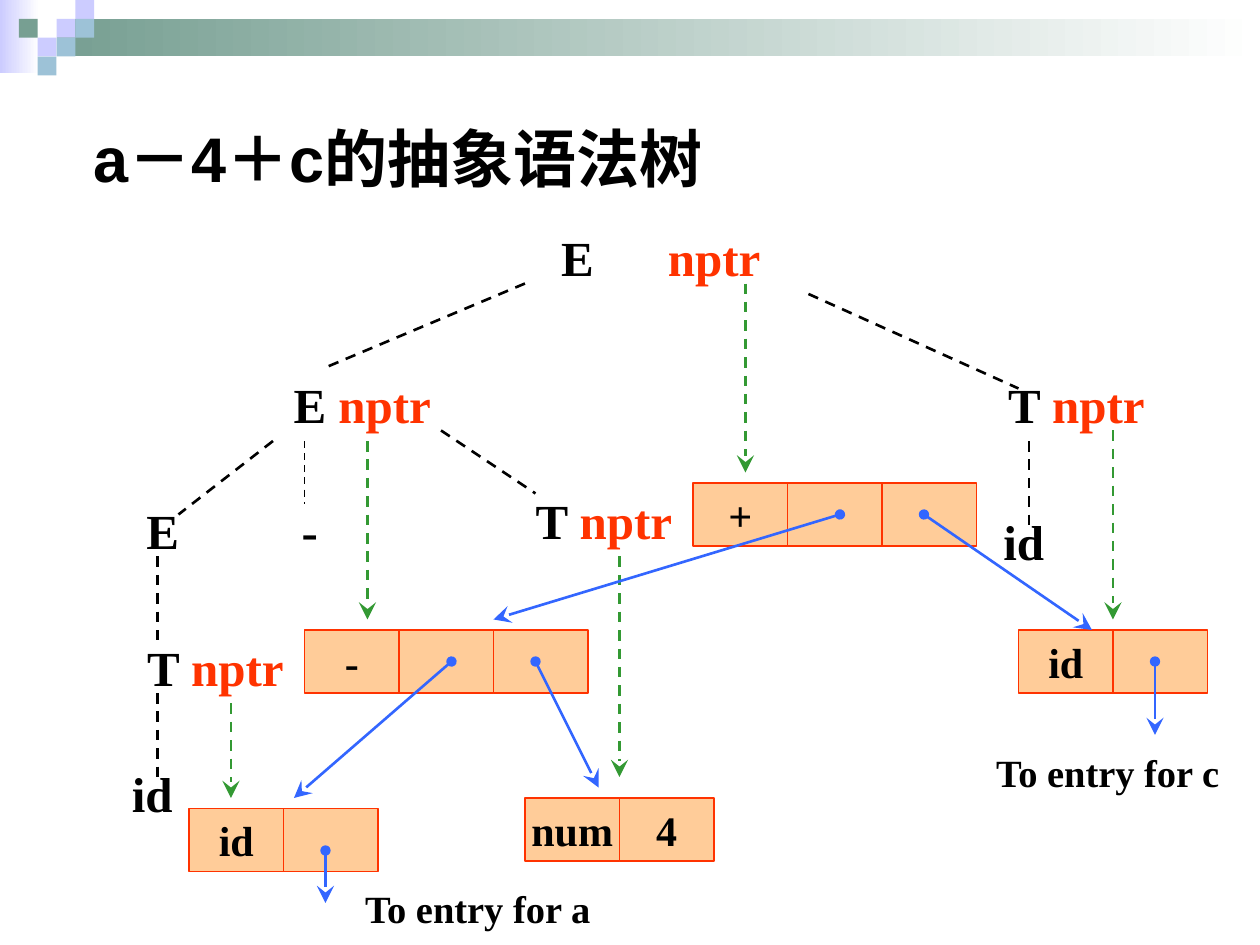
from lxml.etree import SubElement
from pptx import Presentation
from pptx.dml.color import RGBColor
from pptx.enum.dml import MSO_LINE_DASH_STYLE as Dash
from pptx.enum.shapes import MSO_CONNECTOR as Connector, MSO_SHAPE as Shape
from pptx.enum.text import MSO_ANCHOR as Anchor, PP_ALIGN as Align
from pptx.oxml.ns import qn
from pptx.util import Cm, Pt

GRID = 2.54 / 12
TILE = 0.38
BLACK, RED, GREEN, BLUE = "000000", "FF3300", "339933", "3366FF"
PEACH, LILAC, SKY, SAGE, WHITE = "FFCC99", "CCCCFF", "9DC2D7", "779F92", "FFFFFF"

TILES = [(3, 1, LILAC), (4, 0, LILAC), (4, 1, SKY), (2, 2, LILAC),
         (1, 1, SAGE), (3, 2, SKY), (2, 3, SKY)]

LABELS = [
    (48, 21, 14, "E", "", 28), (61, 21, 14, "", "nptr", 28),
    (27, 35, 15, "E ", "nptr", 28), (95, 35, 15, "T ", "nptr", 28),
    (8, 47, 15, "E", "", 28), (22, 47, 15, "-", "", 28),
    (50, 46, 15, "T ", "nptr", 28), (90, 48, 15, "id", "", 28),
    (13, 60, 15, "T ", "nptr", 28), (7, 72, 15, "id", "", 28),
    (33, 83, 25, "To entry for a", "", 22), (93, 70, 25, "To entry for c", "", 22),
]

RECORDS = [
    (66, 46, ["+", "", ""]), (29, 60, ["-", "", ""]), (97, 60, ["id", ""]),
    (18, 77, ["id", ""]), (50, 76, ["num", "4"]),
]

BRANCHES = [
    (50, 27, 31, 35), (26, 42, 17, 49), (77, 28, 97, 37), (15, 53, 15, 61),
    (15, 66, 15, 74), (42, 41, 51, 47), (98, 42, 98, 50),
]
NODE_POINTERS = [
    (71, 27, 71, 45), (35, 42, 35, 59), (59, 53, 59, 74),
    (106, 41, 106, 59), (22, 67, 22, 76),
]
FIELD_POINTERS = [
    (43, 63, 28, 76), (51, 63, 57, 75), (80, 49, 47, 59),
    (88, 49, 104, 60), (31, 81, 31, 86), (110, 63, 110, 70),
]


def color(value):
    return RGBColor.from_string(value)


def grid(*units):
    return [Cm(unit * GRID) for unit in units]


def apply_format(target, values):
    for name, value in values.items():
        setattr(target, name, value)


def write_run(paragraph, text, size, ink, font_name="Times New Roman"):
    run = paragraph.add_run()
    run.text = text
    apply_format(run.font, {"name": font_name, "size": Pt(size), "bold": True})
    run.font.color.rgb = color(ink)


def write_centered(shape, parts, size):
    frame = shape.text_frame
    apply_format(frame, {"word_wrap": False, "vertical_anchor": Anchor.MIDDLE,
                         "margin_left": Cm(0), "margin_right": Cm(0)})
    paragraph = frame.paragraphs[0]
    paragraph.alignment = Align.CENTER
    for text, ink in parts:
        if text:
            write_run(paragraph, text, size, ink)


def add_block(shapes, box, fill):
    block = shapes.add_shape(Shape.RECTANGLE, *box)
    block.shadow.inherit = False
    block.fill.solid()
    block.fill.fore_color.rgb = color(fill)
    block.line.fill.background()
    return block


def add_fade(shapes, box, start):
    fade = add_block(shapes, box, start)
    fade.fill.gradient()
    fade.fill.gradient_angle = 0
    for stop, value, position in zip(fade.fill.gradient_stops, (start, WHITE), (0, 1)):
        stop.color.rgb = color(value)
        stop.position = position


def add_header(shapes):
    add_fade(shapes, [0, 0, Cm(0.79), Cm(1.47)], LILAC)
    add_fade(shapes, [Cm(3 * TILE), Cm(TILE), Cm(24.26), Cm(2 * TILE)], SAGE)
    for column, row, fill in TILES:
        box = [Cm(column * TILE), Cm(row * TILE), Cm(TILE), Cm(TILE)]
        add_block(shapes, box, fill)


def set_title(title, text):
    apply_format(title, {"left": Cm(1.27), "top": Cm(1.27),
                         "width": Cm(22.86), "height": Cm(3.81)})
    title.text_frame.vertical_anchor = Anchor.MIDDLE
    paragraph = title.text_frame.paragraphs[0]
    paragraph.alignment = Align.LEFT
    write_run(paragraph, text, 36, BLACK, "Arial")


def add_label(shapes, left, top, width, symbol, attribute, size):
    label = shapes.add_textbox(*grid(left, top, width, 7))
    write_centered(label, [(symbol, BLACK), (attribute, RED)], size)


def add_record(shapes, left, top, fields):
    group = shapes.add_group_shape()
    for index, text in enumerate(fields):
        cell = add_block(group.shapes, grid(left + 9 * index, top, 9, 6), PEACH)
        cell.line.color.rgb = color(RED)
        cell.line.width = Pt(1)
        write_centered(cell, [(text, BLACK)], 24)


def add_line(shapes, ends, ink, width=1.5, dash=None, head=None, tail=None):
    connector = shapes.add_connector(Connector.STRAIGHT, *grid(*ends))
    connector.line.color.rgb = color(ink)
    apply_format(connector.line, {"width": Pt(width), "dash_style": dash})
    outline = connector.line._get_or_add_ln()
    for tag, kind, size in (("a:headEnd", head, "med"), ("a:tailEnd", tail, "lg")):
        if kind:
            SubElement(outline, qn(tag), type=kind, w=size, len=size)
    SubElement(connector._element.spPr, qn("a:effectLst"))


def main():
    presentation = Presentation()
    apply_format(presentation, {"slide_width": Cm(25.4), "slide_height": Cm(19.05)})
    slide = presentation.slides.add_slide(presentation.slide_layouts[5])
    shapes = slide.shapes
    add_header(shapes)
    set_title(shapes.title, " a－4＋c的抽象语法树")
    for label in LABELS:
        add_label(shapes, *label)
    for record in RECORDS:
        add_record(shapes, *record)
    for ends in BRANCHES:
        add_line(shapes, ends, BLACK, dash=Dash.DASH)
    add_line(shapes, (29, 42, 29, 48), BLACK, width=1, dash=Dash.DASH)
    for ends in NODE_POINTERS:
        add_line(shapes, ends, GREEN, dash=Dash.DASH, tail="stealth")
    for ends in FIELD_POINTERS:
        add_line(shapes, ends, BLUE, head="oval", tail="stealth")
    presentation.save("out.pptx")


if __name__ == "__main__":
    main()
